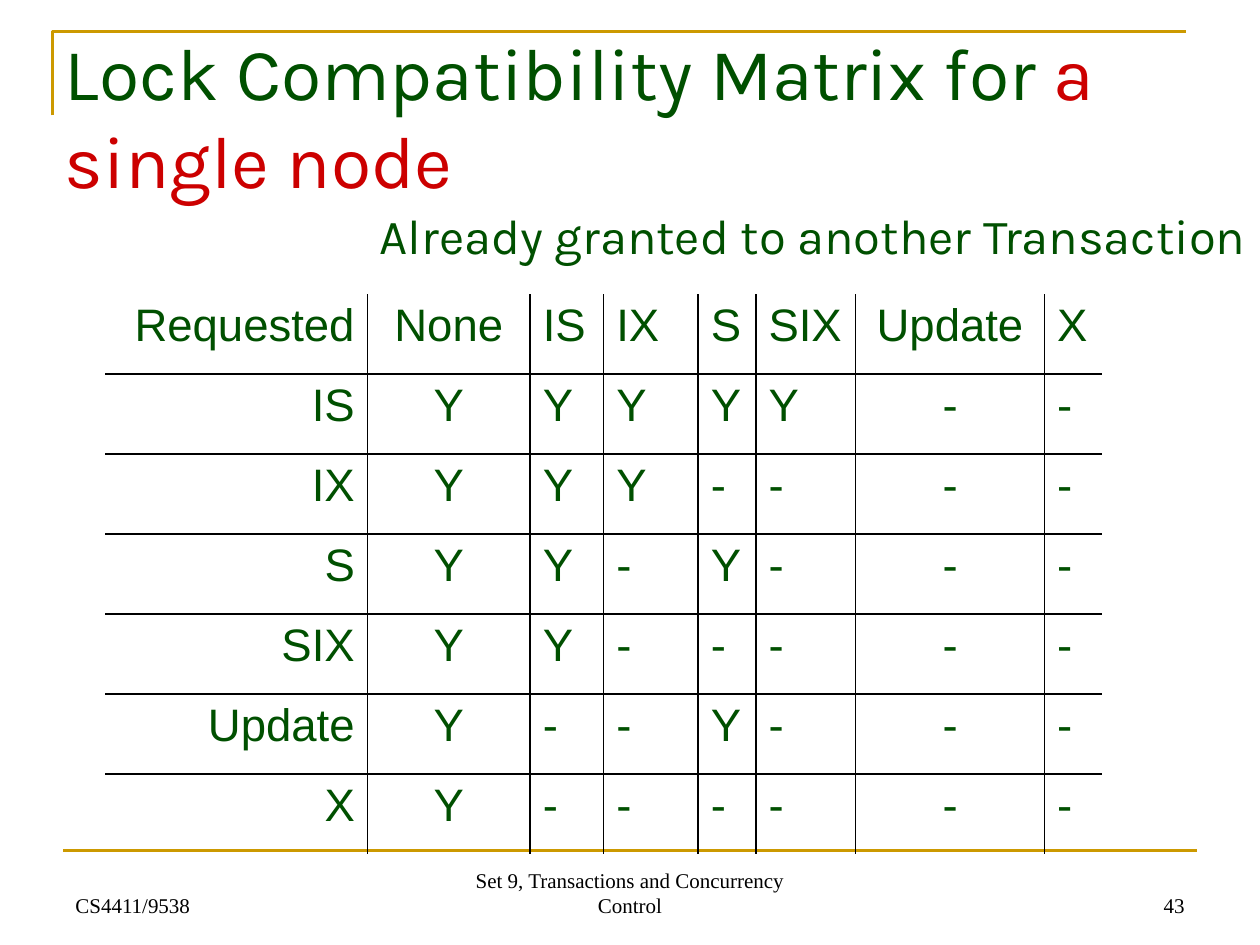
from lxml import etree
from pptx import Presentation
from pptx.dml.color import RGBColor
from pptx.enum.shapes import MSO_CONNECTOR
from pptx.enum.text import MSO_ANCHOR, PP_ALIGN
from pptx.oxml.ns import qn
from pptx.util import Pt

LEFT, CENTER, RIGHT = PP_ALIGN.LEFT, PP_ALIGN.CENTER, PP_ALIGN.RIGHT
TOP, BOTTOM = MSO_ANCHOR.TOP, MSO_ANCHOR.BOTTOM
STRAIGHT = MSO_CONNECTOR.STRAIGHT

# Each text style is font, size, colour
THEME = {
    "title": ("Karla", 42, "005000"),
    "accent": ("Karla", 42, "CC0000"),
    "caption": ("Karla", 28, "005000"),
    "cell": ("Arial", 26, "005000"),
    "footer": ("Times New Roman", 12, "000000"),
    "rule": ("CC9900", 1.5),
    "grid": ("000000", 1),
}

# Content: box (left, top, width, height), alignment, anchor, spans
TEXTS = [
    ((30, 12, 648, 90), LEFT, TOP,
     [("Lock Compatibility Matrix for ", "title"), ("a single node", "accent")]),
    ((210, 114, 510, 41), LEFT, TOP,
     [("Already granted to another Transaction", "caption")]),
    ((36, 492, 168, 36), LEFT, BOTTOM, [("CS4411/9538", "footer")]),
    ((246, 492, 228, 36), CENTER, BOTTOM,
     [("Set 9, Transactions and Concurrency Control", "footer")]),
    ((516, 492, 168, 36), RIGHT, BOTTOM, [("43", "footer")]),
]
MATRIX = [
    ("Requested", "None", "IS", "IX", "S", "SIX", "Update", "X"),
    ("IS", "Y", "Y", "Y", "Y", "Y", "-", "-"),
    ("IX", "Y", "Y", "Y", "-", "-", "-", "-"),
    ("S", "Y", "Y", "-", "Y", "-", "-", "-"),
    ("SIX", "Y", "Y", "-", "-", "-", "-", "-"),
    ("Update", "Y", "-", "-", "Y", "-", "-", "-"),
    ("X", "Y", "-", "-", "-", "-", "-", "-"),
]
COLUMN_WIDTHS = [150, 93, 42, 54, 33, 57, 108, 33]
COLUMN_ALIGNS = [RIGHT, CENTER, LEFT, LEFT, LEFT, LEFT, CENTER, LEFT]
TABLE_LEFT, TABLE_TOP, TABLE_HEIGHT = 60, 168, 320
CORNER = [(30, 66), (30, 18), (678, 18)]
FOOTER_RULE = (36, 486, 684, 486)


def fill_text(frame, align, spans):
    para = frame.paragraphs[0]
    para.alignment = align
    for text, style in spans:
        font, size, color = THEME[style]
        span = para.add_run()
        span.text = text
        span.font.name = font
        span.font.size = Pt(size)
        span.font.color.rgb = RGBColor.from_string(color)


def style_rule(shape):
    color, width = THEME["rule"]
    shape.line.color.rgb = RGBColor.from_string(color)
    shape.line.width = Pt(width)


def set_borders(cell, shown):
    """Draw the edges whose flag is true and clear the others."""
    color, width = THEME["grid"]
    props = cell._tc.get_or_add_tcPr()
    for index, (edge, visible) in enumerate(shown.items()):
        line = etree.Element(qn(f"a:{edge}"), w=str(Pt(width)))
        if visible:
            fill = etree.SubElement(line, qn("a:solidFill"))
            etree.SubElement(fill, qn("a:srgbClr"), val=color)
        else:
            etree.SubElement(line, qn("a:noFill"))
        props.insert(index, line)


def add_rules(page):
    builder = page.shapes.build_freeform(*(Pt(value) for value in CORNER[0]))
    builder.add_line_segments([(Pt(x), Pt(y)) for x, y in CORNER[1:]], close=False)
    corner = builder.convert_to_shape()
    corner.shadow.inherit = False
    corner.fill.background()
    style_rule(corner)

    rule = page.shapes.add_connector(STRAIGHT, *(Pt(value) for value in FOOTER_RULE))
    style_rule(rule)
    etree.SubElement(rule._element.spPr, qn("a:effectLst"))


def add_matrix(page):
    row_count, column_count = len(MATRIX), len(COLUMN_WIDTHS)
    table = page.shapes.add_table(
        row_count, column_count, Pt(TABLE_LEFT), Pt(TABLE_TOP),
        Pt(sum(COLUMN_WIDTHS)), Pt(TABLE_HEIGHT)).table
    table.first_row = table.horz_banding = False
    for column, width in zip(table.columns, COLUMN_WIDTHS):
        column.width = Pt(width)
    for r, values in enumerate(MATRIX):
        table.rows[r].height = Pt(TABLE_HEIGHT / row_count)
        for c, value in enumerate(values):
            cell = table.cell(r, c)
            cell.fill.background()
            fill_text(cell.text_frame, COLUMN_ALIGNS[c], [(value, "cell")])
            # Only inner edges are ruled
            set_borders(cell, {"lnL": c > 0, "lnR": c < column_count - 1,
                               "lnT": r > 0, "lnB": r < row_count - 1})


def add_texts(page):
    for place, align, anchor, spans in TEXTS:
        box = page.shapes.add_textbox(*(Pt(value) for value in place))
        box.text_frame.word_wrap = True
        box.text_frame.vertical_anchor = anchor
        fill_text(box.text_frame, align, spans)


def main():
    deck = Presentation()
    deck.slide_width, deck.slide_height = Pt(720), Pt(540)
    page = deck.slides.add_slide(deck.slide_layouts[6])
    add_rules(page)
    add_matrix(page)
    add_texts(page)
    deck.save("out.pptx")


if __name__ == "__main__":
    main()
